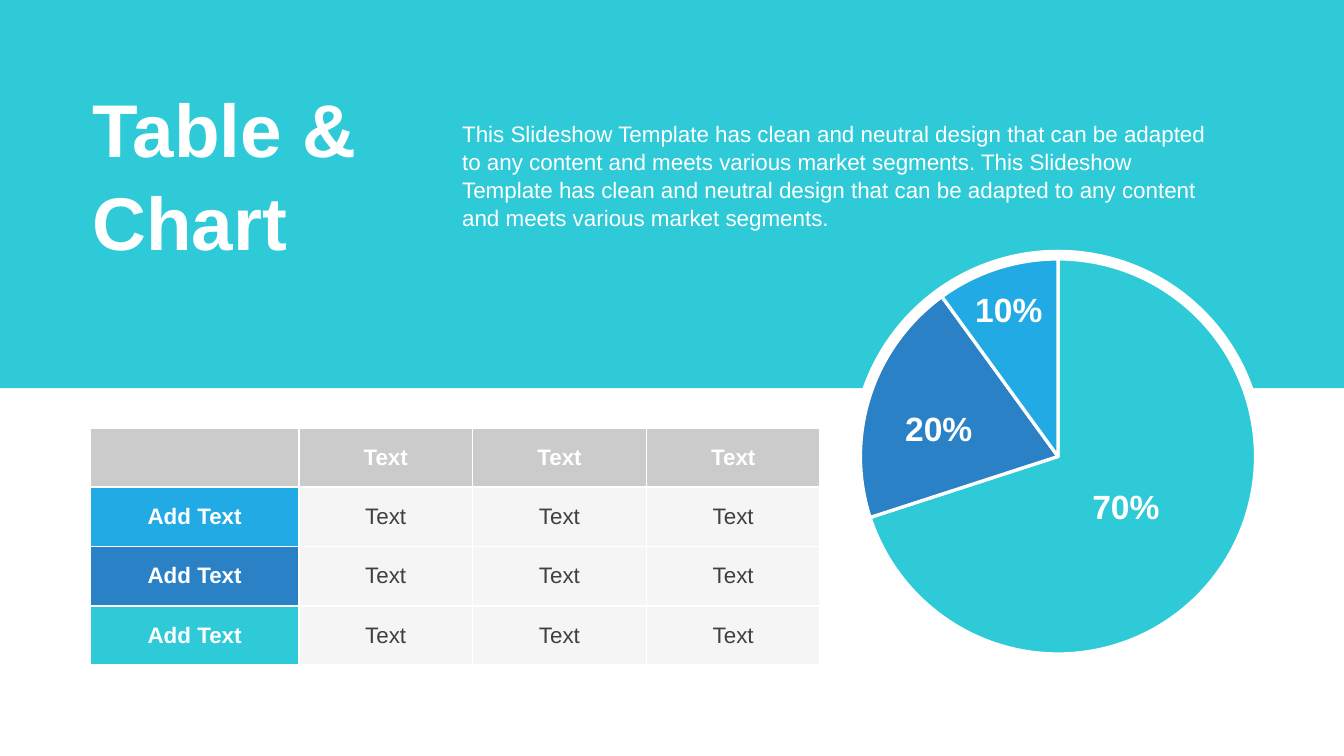
"""Build a slide with a heading, a coloured table and a pie chart."""
import dataclasses

import lxml.etree
import pptx
import pptx.chart.data
import pptx.dml.color
import pptx.enum.chart
import pptx.enum.shapes
import pptx.enum.text
import pptx.oxml
import pptx.oxml.ns
import pptx.util

Pt = pptx.util.Pt
ALIGN = pptx.enum.text.PP_ALIGN
ANCHOR = pptx.enum.text.MSO_ANCHOR
SHAPE = pptx.enum.shapes.MSO_SHAPE


@dataclasses.dataclass(frozen=True)
class Theme:
    font: str = "Arial"
    white: str = "FFFFFF"
    black: str = "000000"
    dark: str = "404040"
    teal: str = "2ECAD7"
    blue: str = "2A81C6"
    sky: str = "22AAE4"
    header: str = "CBCBCB"
    cell: str = "F5F5F5"
    title_size: float = 40
    label_size: float = 18
    body_size: float = 12
    line_spacing: float = 1.04
    slice_line: float = 1.75
    border: float = 1


@dataclasses.dataclass(frozen=True)
class Box:
    left: float
    top: float
    width: float
    height: float

    def lengths(self) -> list:
        return [Pt(value) for value in dataclasses.astuple(self)]


@dataclasses.dataclass(frozen=True)
class Label:
    text: str
    box: Box
    size: float
    bold: bool = True
    align: ALIGN = ALIGN.LEFT
    anchor: ANCHOR = ANCHOR.MIDDLE
    spacing: float = 1


@dataclasses.dataclass(frozen=True)
class Slice:
    value: int
    color: str
    label_left: float
    label_top: float


THEME = Theme()
SLICES = (
    Slice(70, THEME.teal, 575.5, 256.5),
    Slice(20, THEME.blue, 475.2, 214.9),
    Slice(10, THEME.sky, 512.8, 151.3),
)
SENTENCE = (
    "This Slideshow Template has clean and neutral design that can be adapted "
    "to any content and meets various market segments."
)
HEADINGS = (
    Label("Table & Chart", Box(42.5, 39.6, 170, 105.8), THEME.title_size,
          spacing=THEME.line_spacing),
    Label(f"{SENTENCE} {SENTENCE}", Box(240.5, 60.5, 420, 65.5), THEME.body_size,
          bold=False, anchor=ANCHOR.TOP, spacing=THEME.line_spacing),
)
ROW_COLORS = (THEME.sky, THEME.blue, THEME.teal)
COLUMN_WIDTHS = (111.6, 93.1, 93.1, 93.1)
ROW_HEIGHT = 31.8
PLOT_SHARE = 0.91


def rgb(color: str) -> pptx.dml.color.RGBColor:
    return pptx.dml.color.RGBColor.from_string(color)


def apply(target, values: dict) -> None:
    for name, value in values.items():
        setattr(target, name, value)


def paint(target, color: str) -> None:
    target.fill.solid()
    target.fill.fore_color.rgb = rgb(color)


def style_font(font, size: float, color: str, bold: bool = False) -> None:
    apply(font, {"name": THEME.font, "size": Pt(size), "bold": bold})
    font.color.rgb = rgb(color)


def add_panel(slide, kind: SHAPE, box: Box, color: str) -> None:
    shape = slide.shapes.add_shape(kind, *box.lengths())
    shape.shadow.inherit = False
    paint(shape, color)
    shape.line.fill.background()


def add_label(slide, label: Label) -> None:
    frame = slide.shapes.add_textbox(*label.box.lengths()).text_frame
    apply(frame, {"word_wrap": True, "vertical_anchor": label.anchor})
    paragraph = frame.paragraphs[0]
    apply(paragraph, {"text": label.text, "alignment": label.align,
                      "line_spacing": label.spacing})
    style_font(paragraph.runs[0].font, label.size, THEME.white, label.bold)


def add_pie(slide, box: Box) -> None:
    data = pptx.chart.data.CategoryChartData()
    data.categories = [str(number) for number in range(1, len(SLICES) + 1)]
    data.add_series("Series 1", [item.value for item in SLICES])
    chart = slide.shapes.add_chart(
        pptx.enum.chart.XL_CHART_TYPE.PIE, *box.lengths(), data).chart
    apply(chart, {"has_title": False, "has_legend": False})
    style_font(chart.font, THEME.label_size, THEME.black)
    plot = chart.plots[0]
    plot.vary_by_categories = True
    for index, item in enumerate(SLICES):
        slice_format = plot.series[0].points[index].format
        paint(slice_format, item.color)
        slice_format.line.color.rgb = rgb(THEME.white)
        slice_format.line.width = Pt(THEME.slice_line)
    inset = (1 - PLOT_SHARE) / 2
    qualified = pptx.oxml.ns.qn
    area = chart.element.find(f".//{qualified('c:plotArea')}")
    for layout in area.findall(qualified("c:layout")):
        area.remove(layout)
    layout = lxml.etree.Element(qualified("c:layout"))
    manual = lxml.etree.SubElement(layout, qualified("c:manualLayout"))
    settings = {"layoutTarget": "inner", "xMode": "edge", "yMode": "edge",
                "x": inset, "y": inset, "w": PLOT_SHARE, "h": PLOT_SHARE}
    for name, value in settings.items():
        lxml.etree.SubElement(manual, qualified(f"c:{name}")).set("val", str(value))
    area.insert(0, layout)


def add_borders(cell) -> None:
    properties = cell._tc.get_or_add_tcPr()
    namespace = pptx.oxml.ns.nsdecls("a")
    for index, side in enumerate(("lnL", "lnR", "lnT", "lnB")):
        properties.insert(index, pptx.oxml.parse_xml(
            f'<a:{side} {namespace} w="{Pt(THEME.border)}"><a:solidFill>'
            f'<a:srgbClr val="{THEME.white}"/></a:solidFill></a:{side}>'))


def fill_cell(cell, text: str, fill: str, color: str, bold: bool) -> None:
    paint(cell, fill)
    add_borders(cell)
    cell.vertical_anchor = ANCHOR.MIDDLE
    paragraph = cell.text_frame.paragraphs[0]
    apply(paragraph, {"text": text, "alignment": ALIGN.CENTER})
    style_font(paragraph.font, THEME.body_size, color, bold)


def add_data_table(slide, left: float, top: float) -> None:
    row_count = len(ROW_COLORS) + 1
    box = Box(left, top, sum(COLUMN_WIDTHS), ROW_HEIGHT * row_count)
    table = slide.shapes.add_table(
        row_count, len(COLUMN_WIDTHS), *box.lengths()).table
    for column, width in zip(table.columns, COLUMN_WIDTHS):
        column.width = Pt(width)
    for row_index, row_color in enumerate((THEME.header, *ROW_COLORS)):
        table.rows[row_index].height = Pt(ROW_HEIGHT)
        for column_index, cell in enumerate(table.rows[row_index].cells):
            if row_index == 0:
                text = "Text" if column_index else ""
                fill_cell(cell, text, row_color, THEME.white, True)
            elif column_index == 0:
                fill_cell(cell, "Add Text", row_color, THEME.white, True)
            else:
                fill_cell(cell, "Text", THEME.cell, THEME.dark, False)


def main() -> None:
    presentation = pptx.Presentation()
    apply(presentation, {"slide_width": Pt(720), "slide_height": Pt(405)})
    slide = presentation.slides.add_slide(presentation.slide_layouts[6])
    add_panel(slide, SHAPE.RECTANGLE, Box(0, 0, 720, 208), THEME.teal)
    add_panel(slide, SHAPE.OVAL, Box(455.8, 133.8, 221.8, 221.8), THEME.white)
    add_pie(slide, Box(450.5, 128.3, 232.6, 232.6))
    slice_labels = [
        Label(f"{item.value}%", Box(item.label_left, item.label_top, 55.4, 29),
              THEME.label_size, align=ALIGN.CENTER) for item in SLICES]
    for label in (*HEADINGS, *slice_labels):
        add_label(slide, label)
    add_data_table(slide, 48.5, 229.2)
    presentation.save("out.pptx")


if __name__ == "__main__":
    main()
